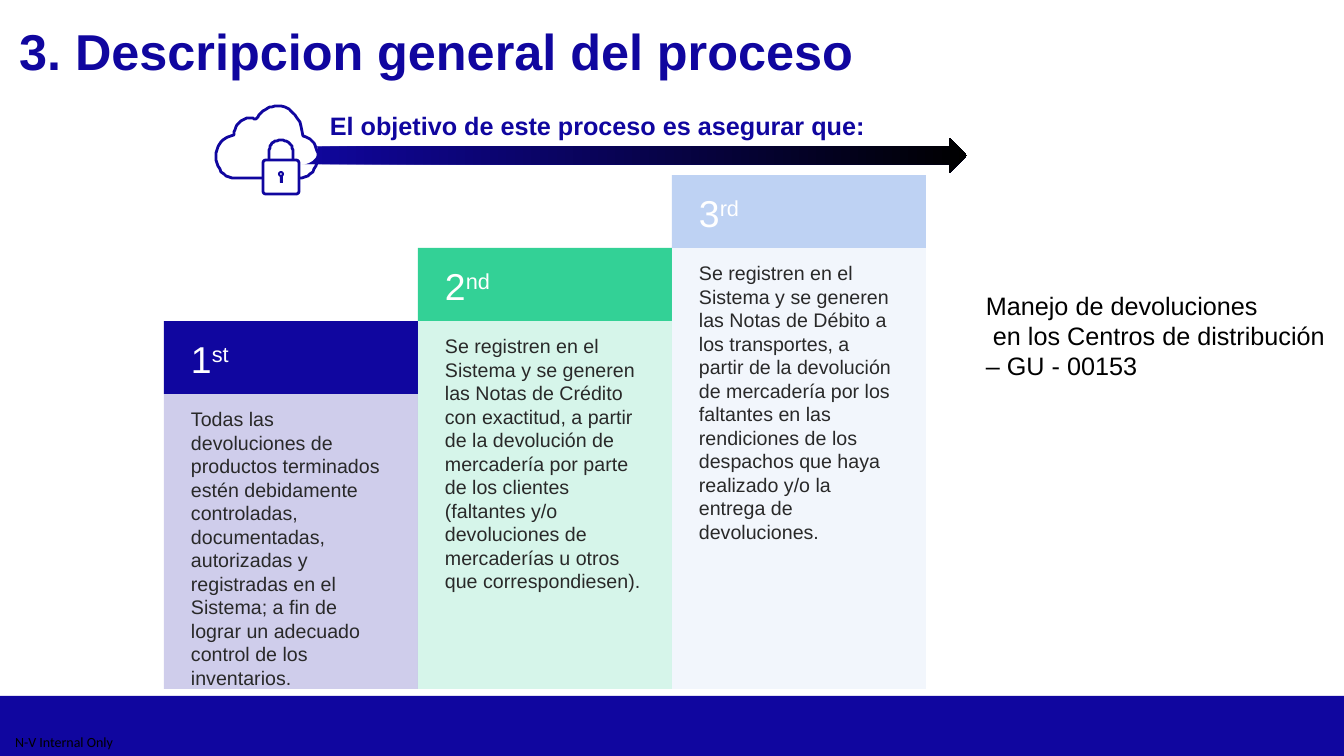
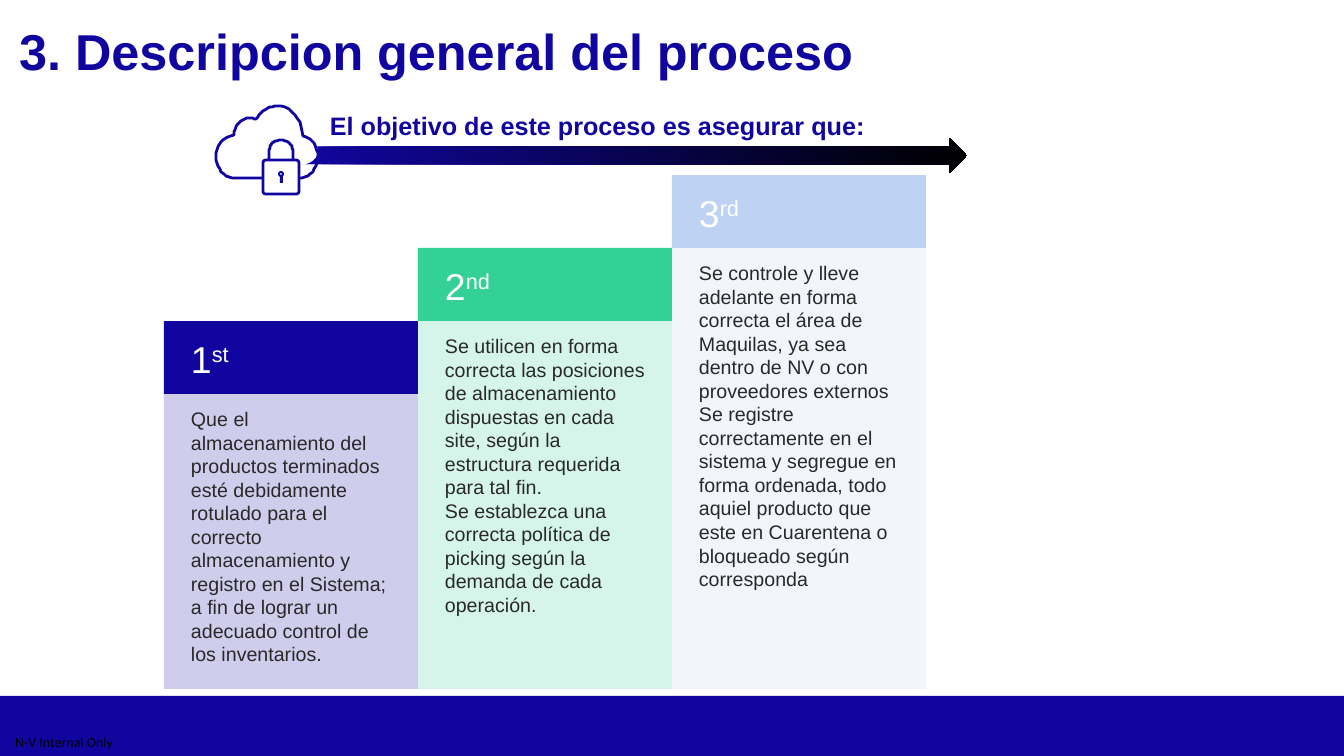
from pptx import Presentation
from pptx import util as u
from pptx.dml.color import RGBColor
from pptx.enum import shapes, text
from pptx.oxml.ns import qn
from lxml import etree

PX = 914400 / 100.8
NAVY, GREEN, SKY = "10069F", "33D196", "BED2F3"
WHITE, BLACK, INK = "FFFFFF", "000000", "292929"
KIND = shapes.MSO_SHAPE
COLUMN_LEFT, COLUMN_WIDTH, STEP, FIRST_TOP, COLUMN_BOTTOM = 164, 254, 73, 321, 689

TITLE = "3. Descripcion general del proceso"
OBJECTIVE = "El objetivo de este proceso es asegurar que:"
STEPS = [("1", "st", NAVY), ("2", "nd", GREEN), ("3", "rd", SKY)]
SLIDES = [
    {
        "columns": [
            "Todas las devoluciones de productos terminados estén debidamente controladas, documentadas, "
            "autorizadas y registradas en el Sistema; a fin de lograr un adecuado control de los inventarios.",
            "Se registren en el Sistema y se generen las Notas de Crédito con exactitud, a partir de la "
            "devolución de mercadería por parte de los clientes (faltantes y/o devoluciones de mercaderías "
            "u otros que correspondiesen).",
            "Se registren en el Sistema y se generen las Notas de Débito a los transportes, a partir de la "
            "devolución de mercadería por los faltantes en las rendiciones de los despachos que haya "
            "realizado y/o la entrega de devoluciones.",
        ],
        "reference": "Manejo de devoluciones\n en los Centros de distribución – GU - 00153",
    },
    {
        "columns": [
            "Que el almacenamiento del productos terminados esté debidamente rotulado para el correcto "
            "almacenamiento y registro en el Sistema; a fin de lograr un adecuado control de los inventarios.",
            "Se utilicen en forma correcta las posiciones de almacenamiento dispuestas en cada site, según "
            "la estructura requerida para tal fin.\n"
            "Se establezca una correcta política de picking según la demanda de cada operación.",
            "Se controle y lleve adelante en forma correcta el área de Maquilas, ya sea dentro de NV o con "
            "proveedores externos\n"
            "Se registre correctamente en el sistema y segregue en forma ordenada, todo aquiel producto que "
            "este en Cuarentena o bloqueado según corresponda",
        ],
        "reference": None,
    },
]

CLOUD = [
    (263, 178), (254, 178), (244, 178), (235, 178),
    (224, 178), (216, 168), (216, 156),
    (216, 146), (224, 136), (234, 135),
    (235, 126), (241, 118), (250, 118),
    (252, 118), (254, 119), (256, 119),
    (261, 111), (269, 106), (277, 106),
    (291, 106), (302, 119), (303, 136),
    (312, 137), (318, 147), (318, 156),
    (318, 168), (310, 178), (299, 178),
]
SHACKLE = [
    (269, 160), (269, 157), (269, 155), (269, 152),
    (269, 145), (274, 140), (281, 140),
    (287, 140), (293, 145), (293, 152),
    (293, 155), (293, 157), (293, 160),
]


def add_box(parent, kind, box, fill=None):
    shape = parent.add_shape(kind, *[round(length * PX) for length in box])
    shape.shadow.inherit = False
    shape.line.fill.background()
    if fill:
        shape.fill.solid()
        shape.fill.fore_color.rgb = RGBColor.from_string(fill)
    else:
        shape.fill.background()
    return shape


def write(frame, content, size, color, bold=False, font="Arial", align=text.PP_ALIGN.LEFT):
    frame.text = content
    for paragraph in frame.paragraphs:
        paragraph.alignment = align
        for run in paragraph.runs:
            run.font.name, run.font.size, run.font.bold = font, u.Pt(size), bold
            run.font.color.rgb = RGBColor.from_string(color)


presentation = Presentation()
presentation.slide_width, presentation.slide_height = round(1344 * PX), round(756 * PX)
layout = presentation.slide_layouts[5]
layout_title = layout.placeholders[0]
layout_title.left, layout_title.top, layout_title.width, layout_title.height = [
    round(length * PX) for length in (9, 15, 1282, 102)]
layout_title.text_frame.vertical_anchor = text.MSO_ANCHOR.TOP
layout_title.text_frame.auto_size = text.MSO_AUTO_SIZE.NONE

for number, content in enumerate(SLIDES):
    slide = presentation.slides.add_slide(layout)
    if number == 0:
        band = add_box(slide.shapes, KIND.RECTANGLE, (0, 696, 1344, 60), NAVY)
        footer = add_box(slide.shapes, KIND.RECTANGLE, (0, 727, 128, 29))
        frame = footer.text_frame
        frame.margin_left = frame.margin_right = frame.margin_top = frame.margin_bottom = 0
        write(frame, "N-V Internal Only", 10, BLACK, font="Calibri", align=text.PP_ALIGN.CENTER)
        for shape in (band, footer):
            presentation.slide_master.element.cSld.spTree.append(shape.element)

    write(slide.shapes.title.text_frame, TITLE, 36, NAVY, bold=True)
    objective = slide.shapes.add_textbox(*[round(length * PX) for length in (320, 105, 568, 40)])
    write(objective.text_frame, OBJECTIVE, 18, NAVY, bold=True)

    arrow = add_box(slide.shapes, KIND.RIGHT_ARROW, (297, 138, 670, 35))
    arrow.fill.gradient()
    arrow.fill.gradient_angle = 0
    for stop, color in zip(arrow.fill.gradient_stops, (NAVY, BLACK)):
        stop.color.rgb = RGBColor.from_string(color)

    for index, (digit, suffix, color) in enumerate(STEPS):
        left, top = COLUMN_LEFT + index * COLUMN_WIDTH, FIRST_TOP - index * STEP
        header = add_box(slide.shapes, KIND.RECTANGLE, (left, top, COLUMN_WIDTH, STEP), color)
        body = add_box(slide.shapes, KIND.RECTANGLE,
                       (left, top + STEP, COLUMN_WIDTH, COLUMN_BOTTOM - top - STEP), color)
        tint = body.element.spPr.find(".//" + qn("a:srgbClr"))
        etree.SubElement(tint, qn("a:alpha")).set("val", "20000")
        for shape, anchor in ((header, text.MSO_ANCHOR.BOTTOM), (body, text.MSO_ANCHOR.TOP)):
            frame = shape.text_frame
            frame.vertical_anchor = anchor
            frame.margin_left = frame.margin_right = round(27 * PX)
            frame.margin_top = frame.margin_bottom = round(13 * PX)
        write(header.text_frame, digit, 26.7, WHITE)
        ordinal = header.text_frame.paragraphs[0].add_run()
        ordinal.text = suffix
        ordinal.font.name, ordinal.font.size = "Arial", u.Pt(26.7)
        ordinal.font.color.rgb = RGBColor.from_string(WHITE)
        ordinal.font._element.set("baseline", "30000")
        write(body.text_frame, content["columns"][index], 14, INK)

    icon = slide.shapes.add_group_shape().shapes
    for box in ((274, 117, 30, 41), (281, 137, 37, 28)):
        add_box(icon, KIND.OVAL, box, WHITE)
    lock = add_box(icon, KIND.ROUNDED_RECTANGLE, (263, 160, 36, 34))
    lock.adjustments[0] = 0.08
    outlines = [lock]
    for path_points in (CLOUD, SHACKLE):
        curve = []
        for start in range(0, len(path_points) - 1, 3):
            a, b, c, d = path_points[start:start + 4]
            for t in [part / 10 for part in range(1, 11)]:
                s = 1 - t
                curve.append([s ** 3 * a[axis] + 3 * s * s * t * b[axis] + 3 * s * t * t * c[axis]
                              + t ** 3 * d[axis] for axis in (0, 1)])
        builder = icon.build_freeform(*path_points[0], scale=PX)
        builder.add_line_segments(curve, close=False)
        outline = builder.convert_to_shape()
        outline.shadow.inherit = False
        outline.fill.background()
        outlines.append(outline)
    for outline in outlines:
        outline.line.color.rgb = RGBColor.from_string(NAVY)
        outline.line.width = u.Pt(2)
    keyhole = add_box(icon, KIND.DONUT, (278, 171, 6, 6), NAVY)
    keyhole.adjustments[0] = 0.35
    add_box(icon, KIND.ROUNDED_RECTANGLE, (280, 176, 3, 7), NAVY)

    if content["reference"]:
        reference = slide.shapes.add_textbox(*[round(length * PX) for length in (976, 285, 368, 102)])
        reference.text_frame.word_wrap = True
        write(reference.text_frame, content["reference"], 18, BLACK)

presentation.save("out.pptx")
